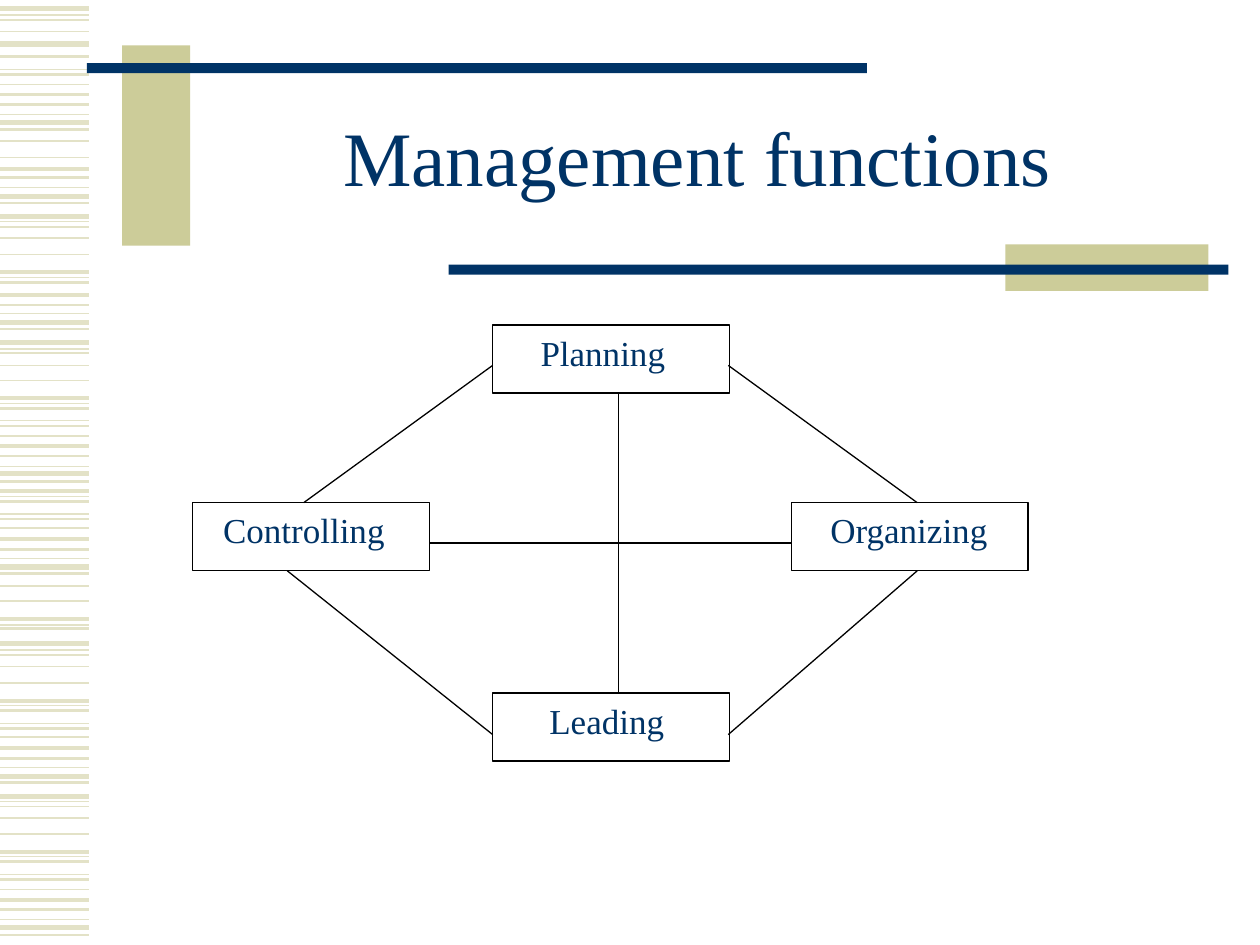
from dataclasses import dataclass

from lxml.etree import SubElement
from pptx import Presentation
from pptx.dml.color import RGBColor
from pptx.enum.shapes import MSO_CONNECTOR as Connector, MSO_SHAPE as Shape
from pptx.enum.text import MSO_ANCHOR as Anchor, PP_ALIGN as Align
from pptx.oxml.ns import qn
from pptx.util import Pt

PX = 9144


@dataclass(frozen=True)
class Theme:
    navy: RGBColor = RGBColor.from_string("003366")
    olive: RGBColor = RGBColor.from_string("CCCC99")
    stripe: RGBColor = RGBColor.from_string("E3E2C7")
    black: RGBColor = RGBColor.from_string("000000")
    white: RGBColor = RGBColor.from_string("FFFFFF")
    font: str = "Times New Roman"
    title_size: int = 44
    label_size: int = 20
    line_width: float = 0.75


theme = Theme()


def write_text(shape, text, *, size, align, anchor, left=10, spacing=1.0):
    frame = shape.text_frame
    frame.word_wrap = True
    frame.vertical_anchor = anchor
    frame.margin_left = left * PX
    frame.margin_right = 10 * PX
    frame.margin_top = frame.margin_bottom = 5 * PX
    paragraph = frame.paragraphs[0]
    paragraph.text = text
    paragraph.alignment = align
    paragraph.line_spacing = spacing
    paragraph.font.name = theme.font
    paragraph.font.size = Pt(size)
    paragraph.font.color.rgb = theme.navy


def add_line(start_x, start_y, end_x, end_y, color, width):
    line = slide.shapes.add_connector(
        Connector.STRAIGHT, start_x * PX, start_y * PX, end_x * PX, end_y * PX
    )
    line.line.color.rgb = color
    line.line.width = Pt(width)
    SubElement(line._element.spPr, qn("a:effectLst"))


presentation = Presentation()
presentation.slide_width = 1000 * PX
presentation.slide_height = 750 * PX
slide = presentation.slides.add_slide(presentation.slide_layouts[5])
slide.background.fill.solid()
slide.background.fill.fore_color.rgb = theme.white

stripes = {
    0.75: [12, 55, 91, 149, 176, 220, 249, 277, 320, 334, 370, 394,
           408, 443, 496, 516, 560, 574, 609, 636, 680, 694, 730],
    1: [16, 25, 67, 112, 125, 180, 189, 202, 280, 290, 302, 346,
        419, 465, 477, 520, 529, 542, 585, 640, 649, 662, 706],
    1.5: [45, 59, 83, 103, 141, 161, 224, 242, 261, 324, 338, 362, 382,
          398, 412, 436, 455, 499, 564, 578, 602, 621, 684, 698, 722, 742],
    2.25: [75, 134, 216, 234, 316, 354, 390, 428, 491, 556, 594, 676, 714],
    3: [7, 35, 97, 156, 172, 256, 272, 376, 450, 511, 616, 632, 736],
}
for width, rows in stripes.items():
    for y in rows:
        add_line(0, y, 71, y, theme.stripe, width)

bars = [
    (97, 36, 54, 159, theme.olive),
    (69, 50, 619, 8, theme.navy),
    (798, 194, 161, 37, theme.olive),
    (356, 210, 619, 8, theme.navy),
]
for left, top, width, height, color in bars:
    bar = slide.shapes.add_shape(
        Shape.RECTANGLE, left * PX, top * PX, width * PX, height * PX
    )
    bar.shadow.inherit = False
    bar.fill.solid()
    bar.fill.fore_color.rgb = color
    bar.line.fill.background()

title = slide.shapes.title
title.left, title.top = 150 * PX, 67 * PX
title.width, title.height = 807 * PX, 125 * PX
write_text(title, "Management functions", size=theme.title_size,
           align=Align.CENTER, anchor=Anchor.MIDDLE, spacing=0.85)

functions = [
    ("Planning", 391, 258, 38),
    ("Organizing", 628, 399, 31),
    ("Controlling", 153, 399, 24),
    ("Leading", 391, 550, 45),
]
for label, left, top, inset in functions:
    box = slide.shapes.add_shape(
        Shape.RECTANGLE, left * PX, top * PX, 188 * PX, 54 * PX
    )
    box.shadow.inherit = False
    box.fill.solid()
    box.fill.fore_color.rgb = theme.white
    box.line.color.rgb = theme.black
    box.line.width = Pt(theme.line_width)
    write_text(box, label, size=theme.label_size, align=Align.JUSTIFY,
               anchor=Anchor.TOP, left=inset)

links = [
    (491, 312, 491, 550),
    (341, 431, 628, 431),
    (241, 399, 391, 290),
    (578, 290, 728, 399),
    (228, 453, 391, 583),
    (578, 583, 728, 453),
]
for link in links:
    add_line(*link, theme.black, theme.line_width)

presentation.save("out.pptx")
